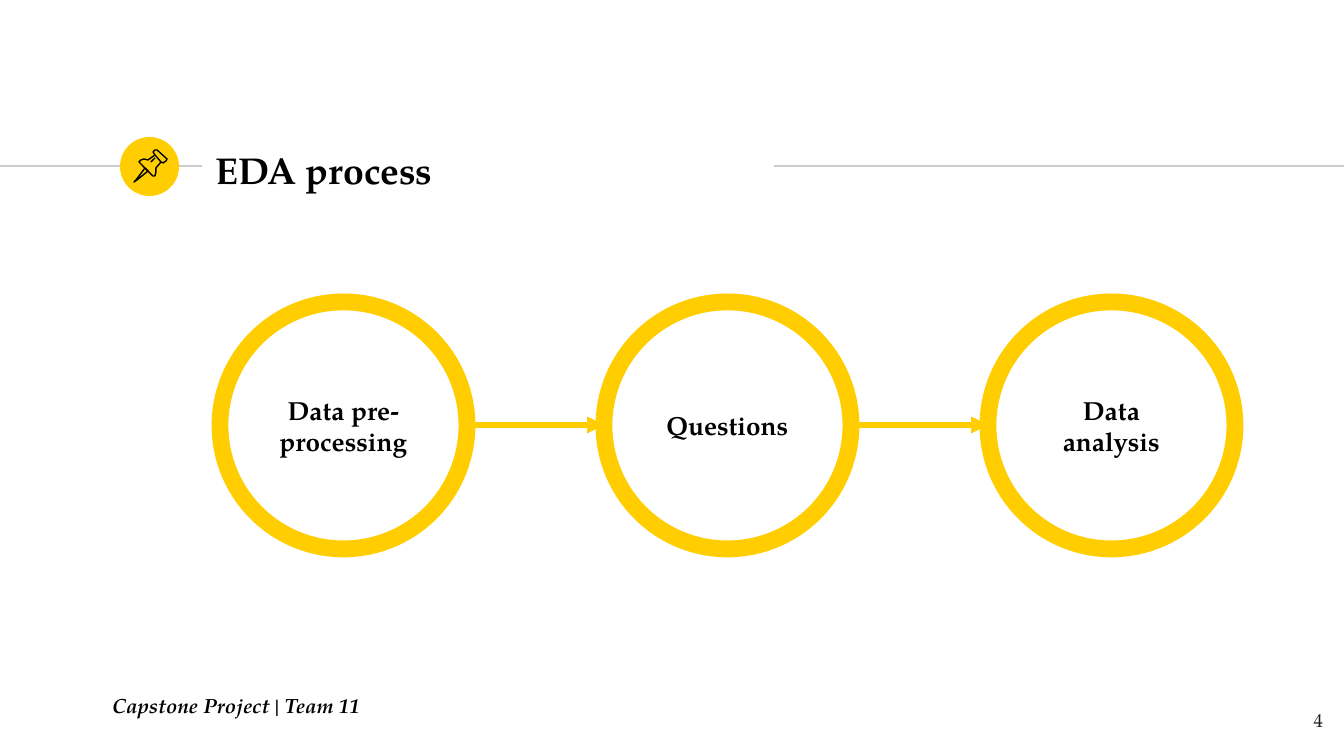
from dataclasses import dataclass
from itertools import pairwise

from lxml.etree import SubElement
from pptx import Presentation
from pptx.dml.color import RGBColor
from pptx.enum.shapes import MSO_CONNECTOR as Connector, MSO_SHAPE as Preset
from pptx.enum.text import MSO_ANCHOR as Anchor, PP_ALIGN as Align
from pptx.oxml.ns import qn
from pptx.util import Emu, Pt

WIDTH, HEIGHT = 1344, 756
SCALE = 9144000 / WIDTH


def px(length):
    return Emu(round(length * SCALE))


@dataclass(frozen=True)
class Theme:
    font: str = "TeX Gyre Pagella"
    accent: str = "FFCD00"
    ink: str = "000000"
    rule: str = "CCCCCC"
    number: str = "1D1D1B"
    title_size: int = 20
    step_size: int = 14
    footer_size: int = 11
    number_size: int = 10
    thin: float = 0.75
    arrow: int = 3
    ring: int = 9
    inset: int = 13


class SlideBuilder:
    """Draws styled elements on the current slide."""

    def __init__(self, slide, theme):
        self.slide = slide
        self.theme = theme

    def stroke(self, line, color, weight):
        line.color.rgb = RGBColor.from_string(color)
        line.width = Pt(weight)

    def label(self, shape, text, size, color=None, align=Align.LEFT,
              anchor=Anchor.TOP, bold=True, italic=False, before=0):
        frame = shape.text_frame
        frame.word_wrap = True
        frame.vertical_anchor = anchor
        inset = px(self.theme.inset)
        frame.margin_left = frame.margin_right = inset
        frame.margin_top = frame.margin_bottom = inset
        paragraph = frame.paragraphs[0]
        paragraph.alignment = align
        paragraph.space_before = Pt(before)
        run = paragraph.add_run()
        run.text = text
        font = run.font
        font.name, font.size = self.theme.font, Pt(size)
        font.bold, font.italic = bold, italic
        font.color.rgb = RGBColor.from_string(color or self.theme.ink)

    def text(self, left, top, width, height, text, size, **style):
        box = self.slide.shapes.add_textbox(px(left), px(top), px(width), px(height))
        self.label(box, text, size, **style)

    def circle(self, left, top, diameter):
        shape = self.slide.shapes.add_shape(
            Preset.OVAL, px(left), px(top), px(diameter), px(diameter))
        shape.shadow.inherit = False
        return shape

    def badge(self, left, top, diameter):
        shape = self.circle(left, top, diameter)
        shape.fill.solid()
        shape.fill.fore_color.rgb = RGBColor.from_string(self.theme.accent)
        shape.line.fill.background()

    def step(self, left, top, diameter, text):
        shape = self.circle(left, top, diameter)
        shape.fill.background()
        self.stroke(shape.line, self.theme.accent, self.theme.ring)
        self.label(shape, text, self.theme.step_size,
                   align=Align.CENTER, anchor=Anchor.MIDDLE)

    def line(self, start, end, y, color, weight, arrow=False):
        connector = self.slide.shapes.add_connector(
            Connector.STRAIGHT, px(start), px(y), px(end), px(y))
        self.stroke(connector.line, color, weight)
        properties = connector.element.find(qn("p:spPr"))
        if arrow:
            SubElement(properties.find(qn("a:ln")), qn("a:tailEnd"), type="triangle")
        SubElement(properties, qn("a:effectLst"))

    def icon(self, outlines):
        group = self.slide.shapes.add_group_shape()
        for points, closed in outlines:
            start, *rest = points
            builder = group.shapes.build_freeform(*start, scale=SCALE)
            builder.add_line_segments(rest, close=closed)
            shape = builder.convert_to_shape()
            shape.shadow.inherit = False
            shape.fill.background()
            self.stroke(shape.line, self.theme.ink, self.theme.thin)


PIN = [
    ([(145, 168), (136, 180), (134, 182), (137, 180), (148, 171)], True),
    ([(155, 155), (161, 162), (163, 163), (166, 161), (167, 159),
      (157, 150), (155, 150), (153, 152)], True),
    ([(155, 155), (148, 160), (144, 159), (141, 160), (139, 162),
      (153, 176), (155, 176), (156, 172), (156, 168), (161, 162)], False),
    ([(151, 162), (155, 158)], False),
]
STEPS = ["Data pre-processing", "Questions", "Data analysis"]
STEP_LEFT, STEP_TOP, STEP_PITCH, DIAMETER = 220, 302, 384, 247
RULE_Y = 166


def main():
    presentation = Presentation()
    presentation.slide_width, presentation.slide_height = px(WIDTH), px(HEIGHT)
    slide = presentation.slides.add_slide(presentation.slide_layouts[6])
    theme = Theme()
    builder = SlideBuilder(slide, theme)

    for start, end in [(0, 202), (774, WIDTH)]:
        builder.line(start, end, RULE_Y, theme.rule, theme.thin)
    builder.badge(120, 137, 59)
    builder.icon(PIN)
    builder.text(203, 137, 570, 65, "EDA process", theme.title_size,
                 anchor=Anchor.MIDDLE)

    lefts = [STEP_LEFT + index * STEP_PITCH for index in range(len(STEPS))]
    for left, name in zip(lefts, STEPS):
        builder.step(left, STEP_TOP, DIAMETER, name)
    for left, following in pairwise(lefts):
        builder.line(left + DIAMETER, following, STEP_TOP + DIAMETER // 2,
                     theme.accent, theme.arrow, arrow=True)

    builder.text(1255, 698, 81, 58, "4", theme.number_size,
                 color=theme.number, align=Align.RIGHT, bold=False)
    builder.text(99, 681, 1149, 48, "Capstone Project | Team 11",
                 theme.footer_size, italic=True, before=10)
    presentation.save("out.pptx")


if __name__ == "__main__":
    main()
